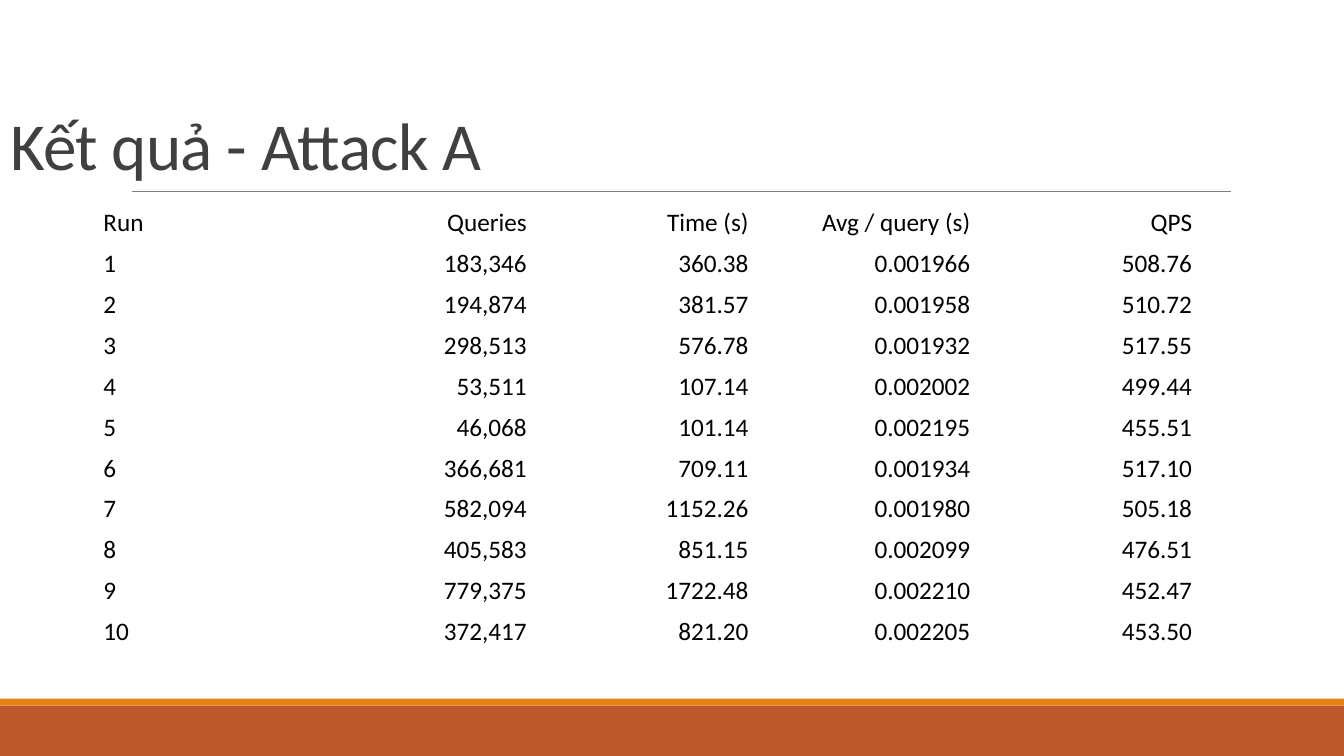
from pptx import Presentation
from pptx.dml.color import RGBColor
from pptx.enum import shapes, text
from pptx.oxml.ns import qn
from pptx.util import Pt
from lxml import etree

RUST = RGBColor(0xBD, 0x58, 0x2C)
ORANGE = RGBColor(0xE4, 0x83, 0x12)
GRAY = RGBColor(0x80, 0x80, 0x80)
DARK = RGBColor(0x40, 0x40, 0x40)
BLACK = RGBColor(0, 0, 0)

RUNS = [
    ("Run", "Queries", "Time (s)", "Avg / query (s)", "QPS"),
    ("1", "183,346", "360.38", "0.001966", "508.76"),
    ("2", "194,874", "381.57", "0.001958", "510.72"),
    ("3", "298,513", "576.78", "0.001932", "517.55"),
    ("4", "53,511", "107.14", "0.002002", "499.44"),
    ("5", "46,068", "101.14", "0.002195", "455.51"),
    ("6", "366,681", "709.11", "0.001934", "517.10"),
    ("7", "582,094", "1152.26", "0.001980", "505.18"),
    ("8", "405,583", "851.15", "0.002099", "476.51"),
    ("9", "779,375", "1722.48", "0.002210", "452.47"),
    ("10", "372,417", "821.20", "0.002205", "453.50"),
]


def write(frame, words, size, color, align=text.PP_ALIGN.LEFT, line_spacing=None, tracking=None):
    paragraph = frame.paragraphs[0]
    paragraph.alignment = align
    paragraph.line_spacing = line_spacing
    run = paragraph.add_run()
    run.text = words
    run.font.name = "Calibri"
    run.font.size = Pt(size)
    run.font.color.rgb = color
    if tracking is not None:
        run.font._element.set("spc", str(round(tracking * 100)))


prs = Presentation()
prs.slide_width, prs.slide_height = Pt(960), Pt(540)
slide = prs.slides.add_slide(prs.slide_layouts[5])

# Footer bands
for top, height, color in [(504, 36, RUST), (499, 5, ORANGE)]:
    band = slide.shapes.add_shape(shapes.MSO_SHAPE.RECTANGLE, 0, Pt(top), Pt(960), Pt(height))
    band.shadow.inherit = False
    band.fill.solid()
    band.fill.fore_color.rgb = color
    band.line.fill.background()

# Rule under the title
rule = slide.shapes.add_connector(shapes.MSO_CONNECTOR.STRAIGHT, Pt(94.3), Pt(136.8), Pt(879), Pt(136.8))
rule.line.color.rgb = GRAY
rule.line.width = Pt(0.5)
etree.SubElement(rule._element.spPr, qn("a:effectLst"))

# Title
title = slide.shapes.title
title.left, title.top, title.width, title.height = 0, Pt(20.9), Pt(792), Pt(114.5)
title.text_frame.word_wrap = True
title.text_frame.auto_size = text.MSO_AUTO_SIZE.NONE
title.text_frame.vertical_anchor = text.MSO_ANCHOR.BOTTOM
write(title.text_frame, "Kết quả - Attack A", 48, DARK, line_spacing=0.85, tracking=-0.5)

# Results table
results = slide.shapes.add_table(len(RUNS), len(RUNS[0]), Pt(66.7), Pt(144.8), Pt(792), Pt(28.8 * len(RUNS))).table
results.first_row = False
results.horz_banding = False
for row, values in enumerate(RUNS):
    for column, value in enumerate(values):
        cell = results.cell(row, column)
        cell.fill.background()
        cell.vertical_anchor = text.MSO_ANCHOR.MIDDLE
        align = text.PP_ALIGN.RIGHT if column else text.PP_ALIGN.LEFT
        write(cell.text_frame, value, 18, BLACK, align=align)

prs.save("out.pptx")
